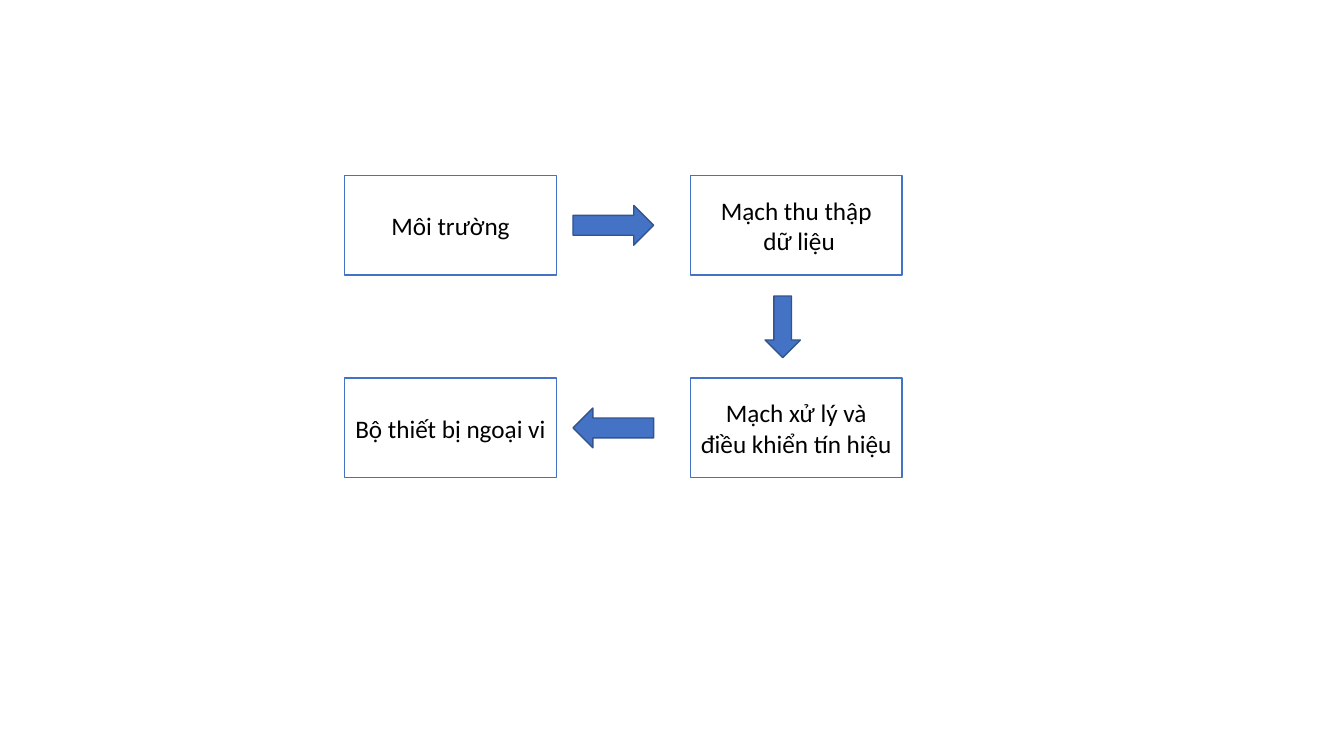
"""Build a slide that shows the signal flow from environment to peripherals."""
from dataclasses import dataclass

from pptx import Presentation
from pptx.dml.color import RGBColor
from pptx.enum import shapes, text
from pptx.util import Pt


@dataclass(frozen=True)
class Theme:
    """Colours and type of the slide."""
    paper: str = "FFFFFF"
    ink: str = "000000"
    accent: str = "4472C4"
    accent_edge: str = "325491"
    font: str = "Calibri"
    body_size: float = 18
    line_width: float = 1


def write_text(frame, wording, *, font, size, color):
    """Write centred paragraphs, one for each line of the wording."""
    frame.word_wrap = True
    frame.vertical_anchor = text.MSO_ANCHOR.MIDDLE
    for index, line in enumerate(wording.split("\n")):
        para = frame.add_paragraph() if index else frame.paragraphs[0]
        para.alignment = text.PP_ALIGN.CENTER
        span = para.add_run()
        span.text = line
        span.font.name = font
        span.font.size = Pt(size)
        span.font.color.rgb = RGBColor.from_string(color)


class FlowPage:
    """Draw flow chart elements on one slide in one theme."""

    def __init__(self, page, theme):
        """Keep the slide and its theme."""
        self.page = page
        self.theme = theme

    def shape(self, kind, bounds, fill, line):
        """Add a filled and outlined preset shape."""
        item = self.page.shapes.add_shape(kind, *map(Pt, bounds))
        item.shadow.inherit = False
        item.fill.solid()
        item.fill.fore_color.rgb = RGBColor.from_string(fill)
        item.line.color.rgb = RGBColor.from_string(line)
        item.line.width = Pt(self.theme.line_width)
        return item

    def box(self, wording, bounds):
        """Add a labelled box."""
        theme = self.theme
        box = self.shape(shapes.MSO_SHAPE.RECTANGLE, bounds, theme.paper, theme.accent)
        write_text(box.text_frame, wording, font=theme.font,
                   size=theme.body_size, color=theme.ink)

    def arrow(self, kind, bounds, rotation=0):
        """Add a block arrow."""
        arrow = self.shape(kind, bounds, self.theme.accent, self.theme.accent_edge)
        arrow.rotation = rotation


def main():
    """Build and save the deck."""
    deck = Presentation()
    deck.slide_width, deck.slide_height = Pt(960), Pt(540)
    flow = FlowPage(deck.slides.add_slide(deck.slide_layouts[6]), Theme())

    columns, rows = (246.2, 493.2), (125.3, 270)
    box_size = (151.2, 71.3)
    stages = (
        ("Môi trường", "Mạch thu thập\n dữ liệu"),
        ("Bộ thiết bị ngoại vi", "Mạch xử lý và điều khiển tín hiệu"),
    )
    for top, labels in zip(rows, stages):
        for left, label in zip(columns, labels):
            flow.box(label, (left, top, *box_size))

    arrow_size = (57.6, 28.4)
    arrow_drop = (box_size[1] - arrow_size[1]) / 2
    for top, rotation in zip(rows, (0, 180)):
        flow.arrow(shapes.MSO_SHAPE.RIGHT_ARROW,
                   (409.3, top + arrow_drop, *arrow_size), rotation)
    flow.arrow(shapes.MSO_SHAPE.DOWN_ARROW, (546.5, 211.5, 25.2, 44))

    deck.save("out.pptx")


if __name__ == "__main__":
    main()
